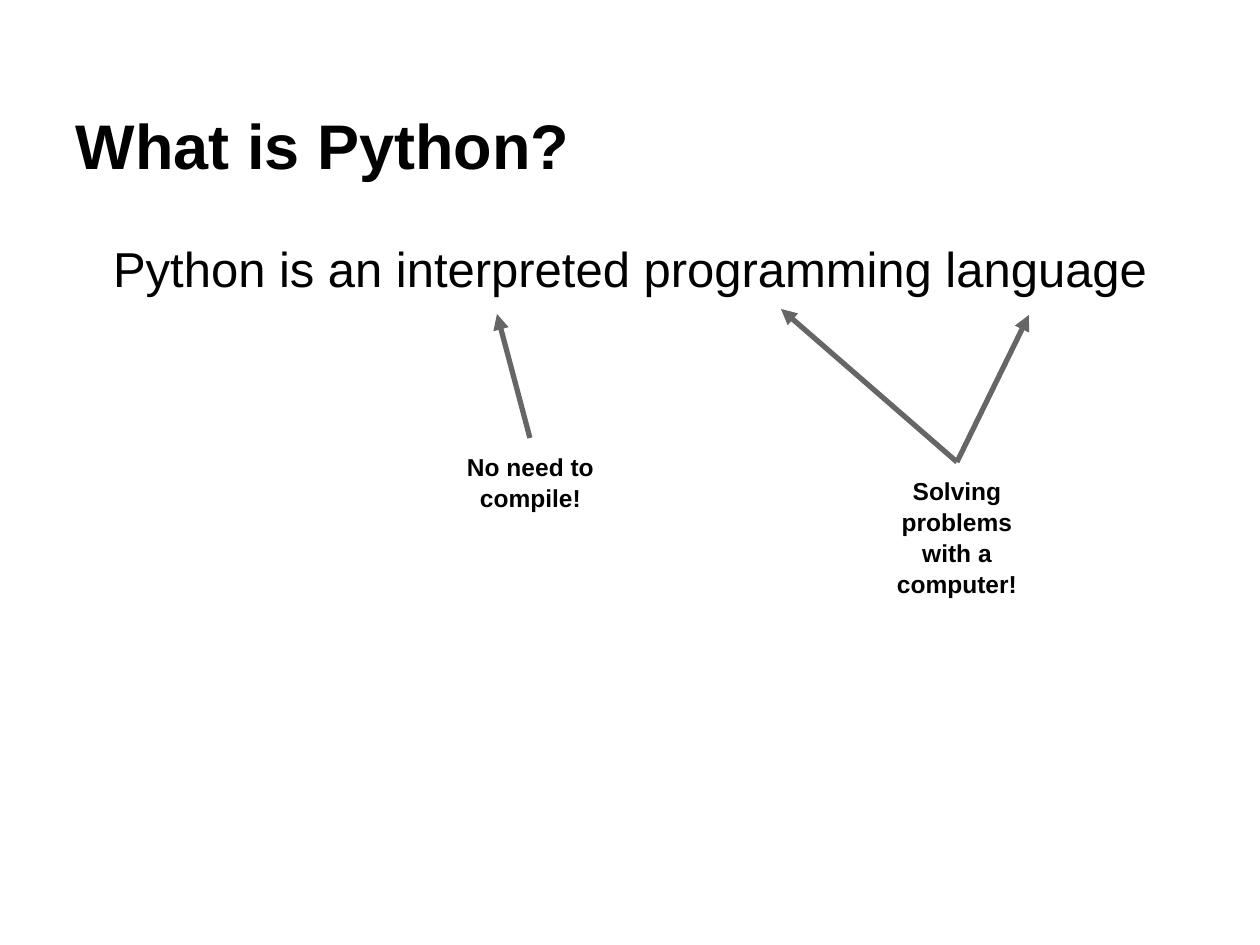
from pptx import Presentation
from pptx.dml.color import RGBColor
from pptx.enum.shapes import MSO_CONNECTOR
from pptx.enum.text import MSO_ANCHOR, PP_ALIGN
from pptx.oxml.ns import qn
from pptx.util import Pt
from lxml import etree

PX = 914400 // 126
BLACK = RGBColor(0x00, 0x00, 0x00)
GRAY = RGBColor(0x66, 0x66, 0x66)


def px(*lengths):
    return [round(n * PX) for n in lengths]


def write(shape, text, size, bold=False, align=PP_ALIGN.CENTER,
          anchor=MSO_ANCHOR.TOP, spacing=1.0):
    tf = shape.text_frame
    inset = px(13)[0]
    frame = dict(word_wrap=True, vertical_anchor=anchor, margin_left=inset,
                 margin_top=inset, margin_right=inset, margin_bottom=inset)
    for name, value in frame.items():
        setattr(tf, name, value)
    p = tf.paragraphs[0]
    p.alignment, p.line_spacing = align, spacing
    r = p.add_run()
    r.text = text
    for name, value in dict(name="Arial", size=Pt(size), bold=bold).items():
        setattr(r.font, name, value)
    r.font.color.rgb = BLACK


def add_title(s, box, text):
    sp = s.shapes.title
    for name, value in zip(("left", "top", "width", "height"), px(*box)):
        setattr(sp, name, value)
    write(sp, text, 36, True, PP_ALIGN.LEFT, MSO_ANCHOR.BOTTOM)


def add_statement(s, box, text):
    write(s.shapes.add_textbox(*px(*box)), text, 28, spacing=1.1)


def add_arrow(s, start, end):
    line = s.shapes.add_connector(MSO_CONNECTOR.STRAIGHT, *px(*start, *end))
    line.line.color.rgb = GRAY
    line.line.width = Pt(3)
    etree.SubElement(line.line._get_or_add_ln(), qn("a:tailEnd"),
                     type="triangle", w="med", len="med")
    etree.SubElement(line._element.spPr, qn("a:effectLst"))


def add_note(s, box, text, targets):
    """A note whose arrows run from its top centre to offsets from that point."""
    left, top, width, _ = box
    x = left + width // 2
    write(s.shapes.add_textbox(*px(*box)), text, 14, True, spacing=1.05)
    for dx, dy in targets:
        add_arrow(s, (x, top), (x + dx, top + dy))


prs = Presentation()
prs.slide_width, prs.slide_height = px(1260, 945)
s = prs.slides.add_slide(prs.slide_layouts[5])

# Heading and statement
add_title(s, (63, 38, 1134, 157), "What is Python?")
add_statement(s, (63, 220, 1134, 684),
              "Python is an interpreted programming language")

# Notes with arrows to the words they explain
add_note(s, (447, 438, 167, 90), "No need to compile!", [(-33, -124)])
add_note(s, (865, 462, 184, 120), "Solving problems with a computer!",
         [(-176, -153), (72, -147)])

prs.save("out.pptx")
